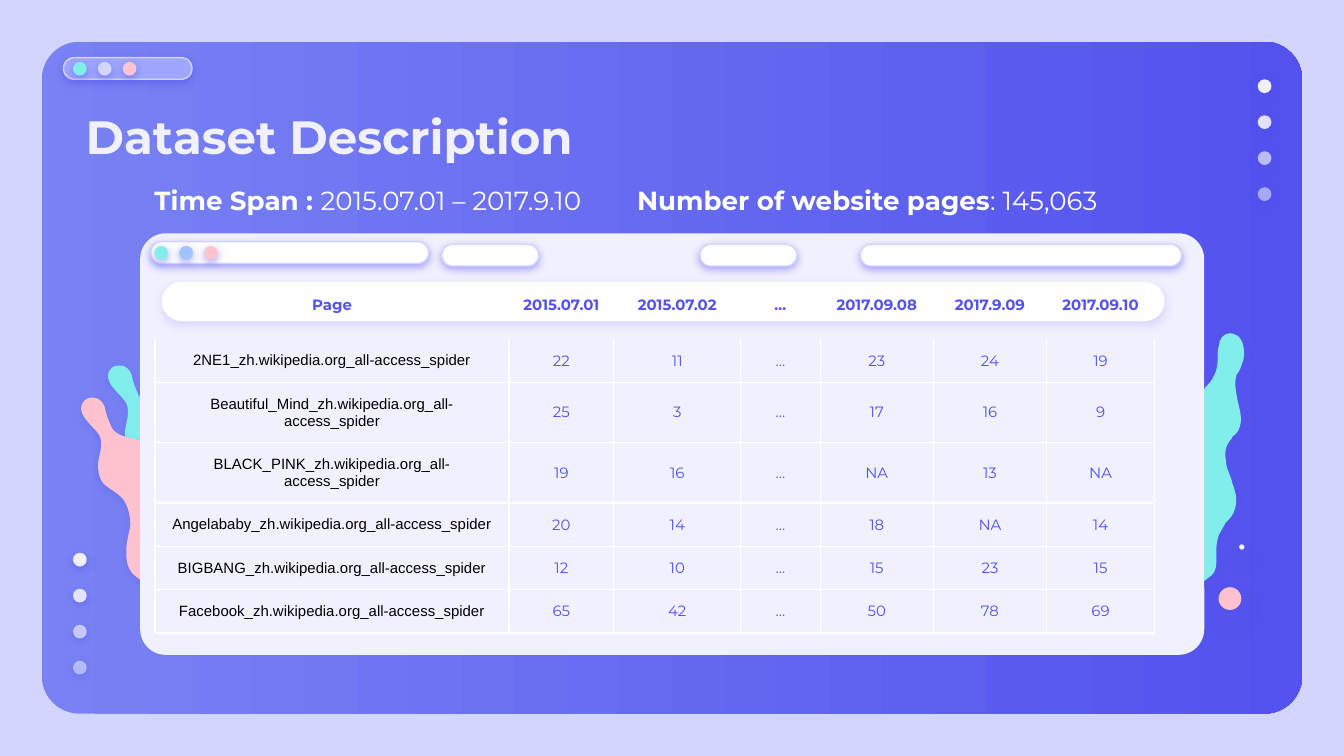
from lxml import etree
from pptx import Presentation
from pptx.dml.color import RGBColor
from pptx.enum import shapes, text
from pptx.oxml import ns
from pptx.util import Cm, Pt

LAVENDER = RGBColor(0xD2, 0xD6, 0xFF)
INDIGO = RGBColor(0x53, 0x52, 0xEE)
PERIWINKLE = RGBColor(0x78, 0x82, 0xF3)
LILAC = RGBColor(0x9E, 0xA6, 0xFF)
PALE = RGBColor(0xF1, 0xF0, 0xFF)
WHITE = RGBColor(0xFF, 0xFF, 0xFF)
BLACK = RGBColor(0x00, 0x00, 0x00)
AQUA = RGBColor(0x81, 0xEE, 0xEB)
PINK = RGBColor(0xFF, 0xC3, 0xD0)
SKY = RGBColor(0xA1, 0xC3, 0xFF)

OVAL = shapes.MSO_SHAPE.OVAL
ROUNDED = shapes.MSO_SHAPE.ROUNDED_RECTANGLE
FONT = "Montserrat"

# Shadows: opacity in percent, blur and distance in points
SOFT = (50, 4.5, 1.5)
FAINT = (15, 4.5, 1.5)
TALL_SPLASH_SHADOW = (18, 4.5, 1.5)
SPLASH_SHADOW = (22, 4.5, 1.5)
DROP_SHADOW = (38, 12.4, 6.8)

# Splash outlines: a start point, then three points for each Bézier curve
GRID = Cm(0.0254)
TALL_SPLASH = [
    (915, 248), (910, 248), (907, 253), (907, 257), (906, 260), (906, 262), (906, 265),
    (906, 270), (906, 275), (903, 280), (902, 283), (899, 286), (897, 288),
    (896, 290), (894, 292), (892, 294), (888, 302), (886, 311), (887, 320),
    (889, 329), (887, 336), (880, 344), (873, 351), (867, 359), (869, 369),
    (870, 373), (871, 377), (873, 381), (876, 387), (879, 393), (877, 400),
    (877, 402), (875, 405), (874, 407), (874, 408), (873, 409), (873, 410),
    (871, 415), (870, 420), (871, 424), (872, 427), (874, 431), (876, 433),
    (877, 434), (878, 434), (879, 435), (881, 435), (883, 436), (884, 436),
    (889, 436), (896, 433), (899, 430), (906, 426), (905, 419), (905, 412),
    (905, 407), (905, 401), (908, 396), (909, 394), (911, 391), (912, 389),
    (915, 386), (918, 383), (919, 378), (921, 372), (919, 365), (917, 360),
    (917, 359), (916, 357), (916, 356), (914, 351), (912, 347), (912, 342),
    (911, 336), (912, 332), (915, 328), (916, 327), (917, 326), (917, 325),
    (919, 324), (920, 322), (921, 321), (925, 314), (923, 307), (921, 299),
    (920, 293), (918, 286), (920, 279), (921, 278), (922, 276), (923, 274),
    (923, 273), (924, 272), (924, 271), (926, 267), (926, 262), (925, 257),
    (924, 253), (922, 250), (919, 249), (917, 248), (916, 248), (915, 248)]
SPLASH = [
    (87, 272), (86, 272), (84, 273), (83, 274), (74, 283), (90, 293), (94, 300),
    (97, 306), (94, 314), (93, 321), (93, 328), (94, 335), (101, 339),
    (105, 342), (109, 344), (112, 348), (116, 354), (117, 361), (117, 367),
    (116, 373), (114, 380), (114, 386), (114, 390), (114, 397), (118, 402),
    (122, 407), (128, 409), (132, 412), (133, 413), (135, 413), (136, 413),
    (140, 413), (144, 412), (147, 411), (156, 408), (166, 401), (170, 392),
    (177, 377), (171, 358), (158, 348), (154, 346), (150, 344), (147, 340),
    (141, 335), (140, 324), (137, 317), (128, 297), (110, 306), (103, 294),
    (101, 289), (99, 285), (98, 279), (97, 276), (94, 272), (90, 272),
    (89, 272), (88, 272), (87, 272)]

COLUMN_WIDTHS = [6.69, 1.98, 2.4, 1.5, 2.14, 2.14, 2.04]
ROW_HEIGHTS = [1.07, 0.8, 1.14, 1.14, 0.82, 0.82, 0.82]
ROWS = [
    ["Page", "2015.07.01", "2015.07.02", "…", "2017.09.08", "2017.9.09", "2017.09.10"],
    ["2NE1_zh.wikipedia.org_all-access_spider", "22", "11", "…", "23", "24", "19"],
    ["Beautiful_Mind_zh.wikipedia.org_all-access_spider", "25", "3", "…", "17", "16", "9"],
    ["BLACK_PINK_zh.wikipedia.org_all-access_spider", "19", "16", "…", "NA", "13", "NA"],
    ["Angelababy_zh.wikipedia.org_all-access_spider", "20", "14", "…", "18", "NA", "14"],
    ["BIGBANG_zh.wikipedia.org_all-access_spider", "12", "10", "…", "15", "23", "15"],
    ["Facebook_zh.wikipedia.org_all-access_spider", "65", "42", "…", "50", "78", "69"],
]


def add_child(parent, tag, **attributes):
    child = etree.SubElement(parent, ns.qn(tag))
    for name, value in attributes.items():
        child.set(name, str(value))
    return child


def style_shape(shape, fill, line=None, shadow=None, opacity=100):
    shape.fill.solid()
    shape.fill.fore_color.rgb = fill
    if opacity < 100:
        color = shape.element.spPr.find(".//" + ns.qn("a:srgbClr"))
        add_child(color, "a:alpha", val=opacity * 1000)
    if line:
        shape.line.color.rgb = line
        shape.line.width = Pt(0.75)
    else:
        shape.line.fill.background()
    shape.shadow.inherit = False
    if shadow:
        strength, blur, distance = shadow
        effects = shape.element.spPr.find(ns.qn("a:effectLst"))
        outer = add_child(effects, "a:outerShdw", blurRad=Pt(blur), dist=Pt(distance),
                          dir=5400000, algn="bl", rotWithShape=0)
        color = add_child(outer, "a:srgbClr", val=INDIGO)
        add_child(color, "a:alpha", val=strength * 1000)


def add_preset(slide, kind, left, top, width, height, fill, radius=0.5, **style):
    shape = slide.shapes.add_shape(kind, Cm(left), Cm(top), Cm(width), Cm(height))
    if kind == ROUNDED:
        shape.adjustments[0] = radius
    style_shape(shape, fill, **style)
    return shape


def add_window_dots(slide, left, top, colors):
    for index, color in enumerate(colors):
        add_preset(slide, OVAL, left + index * 0.47, top, 0.26, 0.26, color, shadow=SOFT)


def add_fading_dots(slide, left, top):
    for index, opacity in enumerate((100, 90, 67, 54)):
        add_preset(slide, OVAL, left, top + index * 0.68, 0.26, 0.26, PALE,
                   shadow=SOFT, opacity=opacity)


def add_splash(slide, outline, fill, shadow, shift=(0, 0)):
    points = [((x + shift[0]) * GRID, (y + shift[1]) * GRID) for x, y in outline]
    builder = slide.shapes.build_freeform(*points[0])
    builder.add_line_segments(points[1:], close=True)
    shape = builder.convert_to_shape()
    # Join each three segments into one Bézier curve
    segments = shape.element.spPr.findall(".//" + ns.qn("a:lnTo"))
    for start in range(0, len(outline) - 1, 3):
        curve = etree.Element(ns.qn("a:cubicBezTo"))
        segments[start].addprevious(curve)
        for segment in segments[start:start + 3]:
            curve.append(segment[0])
            segment.getparent().remove(segment)
    style_shape(shape, fill, shadow=shadow)


def add_text(slide, left, top, width, height, runs, size, color, tab=None):
    box = slide.shapes.add_textbox(Cm(left), Cm(top), Cm(width), Cm(height))
    box.text_frame.word_wrap = True
    paragraph = box.text_frame.paragraphs[0]
    if tab:
        tabs = add_child(paragraph._p.get_or_add_pPr(), "a:tabLst")
        add_child(tabs, "a:tab", pos=Cm(tab), algn="l")
    for words, bold in runs:
        run = paragraph.add_run()
        run.text = words
        run.font.name, run.font.size, run.font.bold = FONT, Pt(size), bold
        run.font.color.rgb = color


def set_borders(cell, visible):
    properties = cell._tc.get_or_add_tcPr()
    for index, side in enumerate("LRTB"):
        line = etree.Element(ns.qn("a:ln" + side), w=str(Pt(0.75)))
        if side in visible:
            add_child(add_child(line, "a:solidFill"), "a:srgbClr", val=WHITE)
        else:
            add_child(line, "a:noFill")
        properties.insert(index, line)


def fill_cell(cell, words, is_header, is_name, borders):
    cell.fill.background()
    set_borders(cell, borders)
    is_value = not (is_header or is_name)
    cell.margin_left = cell.margin_right = Cm(0.25)
    cell.margin_top = cell.margin_bottom = Cm(0.18 if is_value else 0.25)
    cell.vertical_anchor = text.MSO_ANCHOR.MIDDLE if is_value else text.MSO_ANCHOR.TOP
    cell.text_frame.text = words
    paragraph = cell.text_frame.paragraphs[0]
    paragraph.alignment = text.PP_ALIGN.CENTER
    plain_name = is_name and not is_header
    font = paragraph.runs[0].font
    font.name, font.size, font.bold = "Arial" if plain_name else FONT, Pt(8), is_header
    font.color.rgb = BLACK if plain_name else INDIGO


def add_page_table(slide):
    frame = slide.shapes.add_table(len(ROWS), len(COLUMN_WIDTHS), Cm(2.93), Cm(5.34),
                                   Cm(sum(COLUMN_WIDTHS)), Cm(sum(ROW_HEIGHTS)))
    table = frame.table
    table.first_row = table.horz_banding = False
    for column, width in zip(table.columns, COLUMN_WIDTHS):
        column.width = Cm(width)
    for row_index, (row, height) in enumerate(zip(table.rows, ROW_HEIGHTS)):
        row.height = Cm(height)
        borders = {0: "", 1: "LRB"}.get(row_index, "LRTB")
        for column_index, cell in enumerate(row.cells):
            fill_cell(cell, ROWS[row_index][column_index], row_index == 0,
                      column_index == 0, borders)


def main():
    presentation = Presentation()
    presentation.slide_width, presentation.slide_height = Cm(25.4), Cm(14.29)
    slide = presentation.slides.add_slide(presentation.slide_layouts[6])
    slide.background.fill.solid()
    slide.background.fill.fore_color.rgb = LAVENDER

    # Backdrop with its dots
    backdrop = add_preset(slide, ROUNDED, 0.79, 0.79, 23.82, 12.7, INDIGO, radius=0.056)
    backdrop.fill.gradient()
    backdrop.fill.gradient_angle = 0
    for stop, color in zip(backdrop.fill.gradient_stops, (PERIWINKLE, INDIGO)):
        stop.color.rgb = color
    add_preset(slide, ROUNDED, 1.2, 1.09, 2.43, 0.41, LILAC, line=LAVENDER, shadow=SOFT)
    add_window_dots(slide, 1.38, 1.17, (AQUA, LAVENDER, PINK))
    add_fading_dots(slide, 23.77, 1.5)
    add_fading_dots(slide, 1.38, 10.45)

    # Splashes and drops
    add_splash(slide, TALL_SPLASH, AQUA, TALL_SPLASH_SHADOW)
    add_splash(slide, SPLASH, AQUA, SPLASH_SHADOW)
    add_splash(slide, SPLASH, PINK, SPLASH_SHADOW, shift=(-20, 24))
    add_preset(slide, OVAL, 23.03, 11.1, 0.43, 0.43, PINK, shadow=DROP_SHADOW)
    add_preset(slide, OVAL, 23.42, 10.29, 0.1, 0.1, PALE, shadow=DROP_SHADOW)

    # Browser window
    add_preset(slide, ROUNDED, 2.65, 4.41, 20.11, 7.97, PALE, radius=0.061)
    for left, top, width in ((2.85, 4.57, 5.25), (8.35, 4.62, 1.83),
                             (13.23, 4.62, 1.83), (16.26, 4.62, 6.07)):
        add_preset(slide, ROUNDED, left, top, width, 0.41, WHITE, line=LAVENDER, shadow=SOFT)
    add_preset(slide, ROUNDED, 3.06, 5.33, 18.95, 0.74, WHITE, shadow=FAINT)
    add_page_table(slide)
    add_window_dots(slide, 2.92, 4.65, (AQUA, SKY, PINK))

    # Title and key facts
    add_text(slide, 1.37, 1.91, 12.7, 1.32, [("Dataset Description", True)], 25, PALE)
    facts = [("Time Span : ", True), ("2015.07.01 – 2017.9.10\t", False),
             ("Number of website pages", True), (": 145,063", False)]
    add_text(slide, 2.67, 3.37, 18.95, 0.86, facts, 14, WHITE, tab=9.12)

    presentation.save("out.pptx")


if __name__ == "__main__":
    main()
